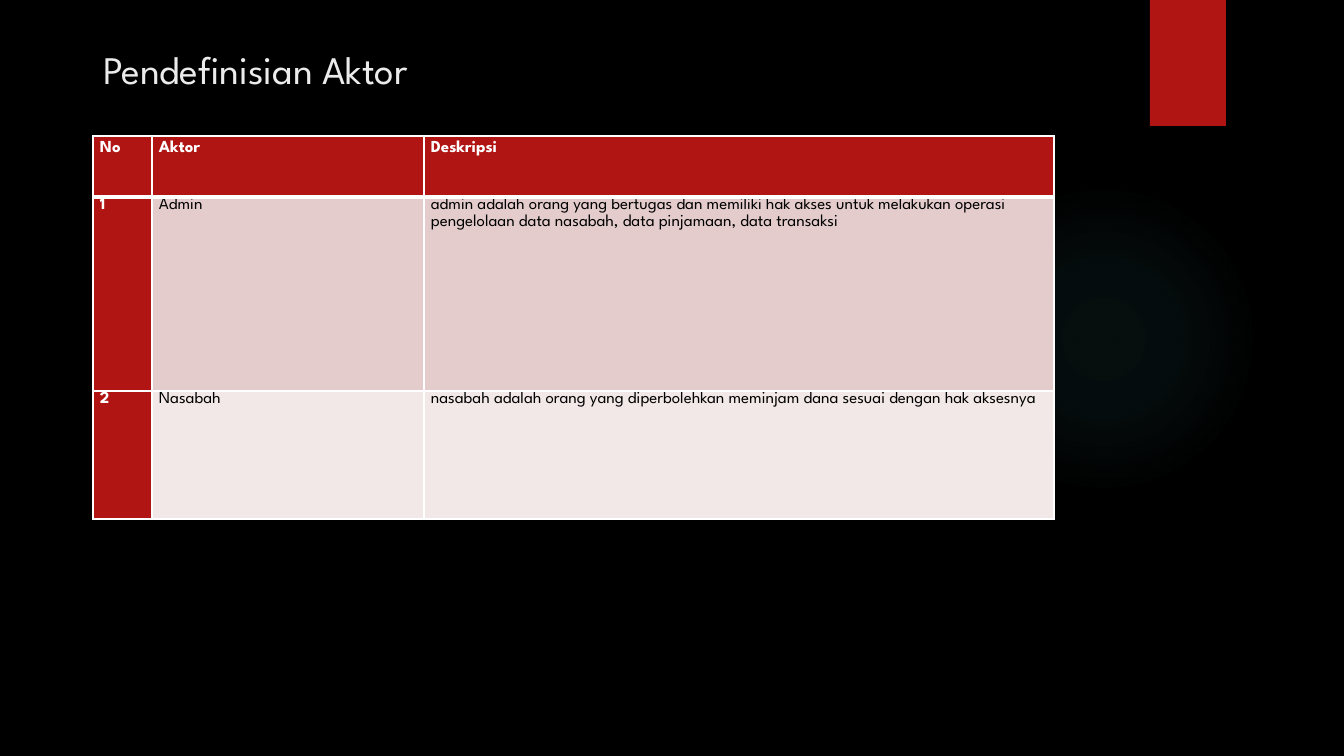
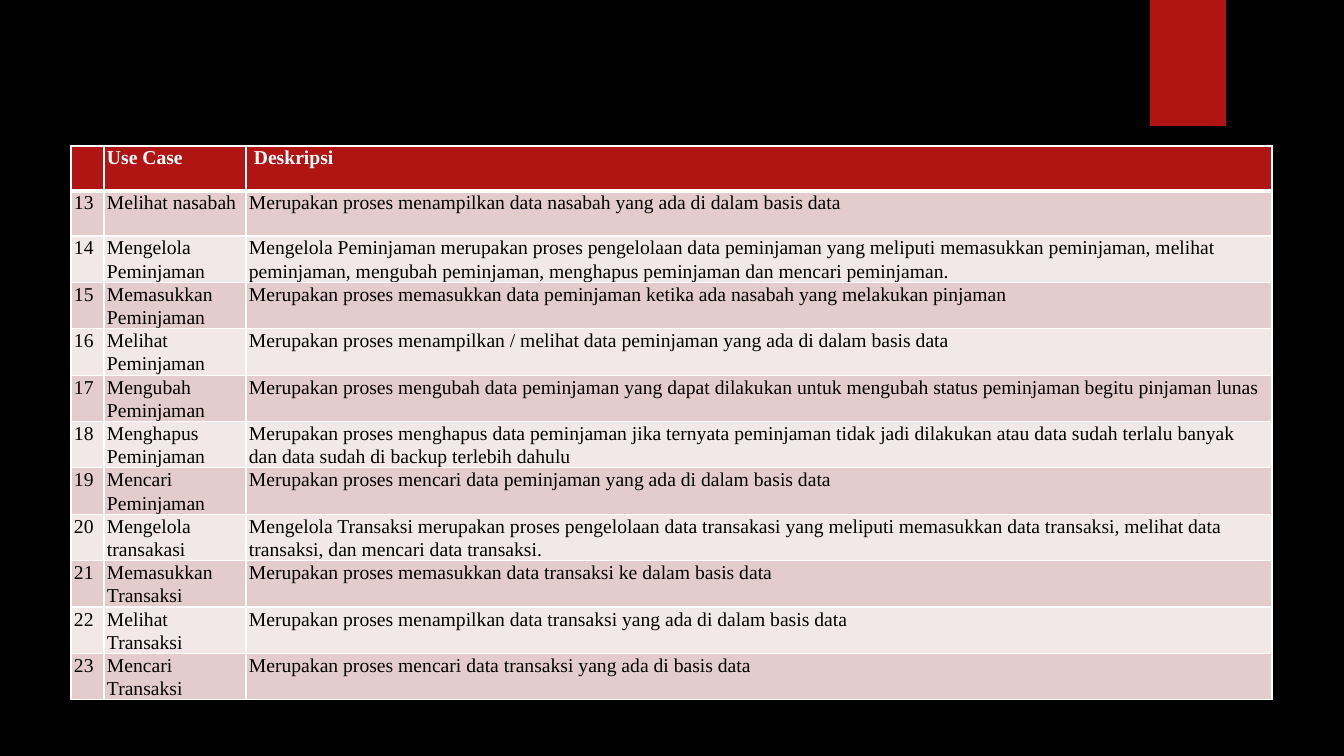
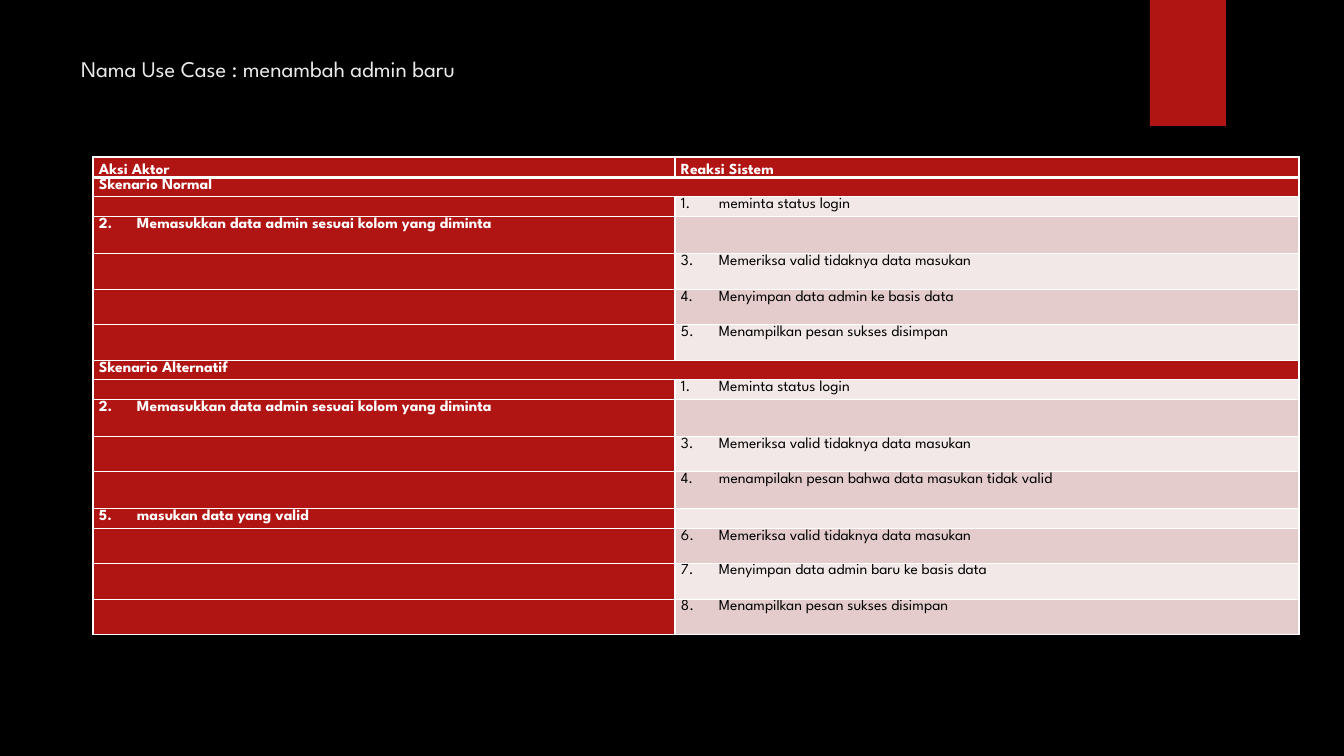
from dataclasses import dataclass
from itertools import zip_longest
from typing import NamedTuple

from lxml.etree import SubElement
from pptx import Presentation
from pptx.dml.color import RGBColor
from pptx.enum.shapes import MSO_SHAPE
from pptx.enum.text import MSO_ANCHOR, MSO_AUTO_SIZE, PP_ALIGN
from pptx.oxml import parse_xml
from pptx.oxml.ns import qn
from pptx.util import Emu, Pt

EMU_PER_PX = 914400 / 100.8
NAMESPACE = "http://schemas.openxmlformats.org/drawingml/2006/main"
TITLE_ONLY, BLANK = 5, 6


@dataclass(frozen=True)
class Theme:
    """Colours, fonts and type measures of the deck."""
    background: str = "000000"
    accent: str = "B01513"
    glow: str = "50B9C1"
    title: str = "EBEBEB"
    light_text: str = "FFFFFF"
    dark_text: str = "000000"
    border: str = "FFFFFF"
    band_dark: str = "E4CCCC"
    band_light: str = "F2E8E7"
    sans: str = "League Spartan"
    serif: str = "Times New Roman"
    title_size: float = 27.9
    subtitle_size: float = 16
    line_spacing: float = 1.07
    header_spacing: float = 14.7
    thin: float = 1
    thick: float = 3


class Box(NamedTuple):
    """A region in px."""
    left: int
    top: int
    width: int
    height: int


class Step(NamedTuple):
    """A numbered step of a scenario."""
    number: int
    text: str


@dataclass(frozen=True)
class TableStyle:
    """Type and layout choices that differ between tables."""
    font: str
    size: float
    margins: tuple
    header_spacing: object
    red_first_column: bool


THEME = Theme()
EXACT_HEADER = Pt(THEME.header_spacing)
ACTOR_STYLE = TableStyle(THEME.sans, 12, (7, 7), EXACT_HEADER, True)
USE_CASE_STYLE = TableStyle(THEME.serif, 14, (3, 3), THEME.line_spacing, False)
SCENARIO_STYLE = TableStyle(THEME.sans, 11, (6, 7), EXACT_HEADER, True)

ACTORS = [
    ("No", "Aktor", "Deskripsi"),
    ("1", "Admin", "admin adalah orang yang bertugas dan memiliki hak akses untuk melakukan "
     "operasi pengelolaan data nasabah, data pinjamaan, data transaksi"),
    ("2", "Nasabah", "nasabah adalah orang yang diperbolehkan meminjam dana sesuai dengan "
     "hak aksesnya"),
]
FIRST_USE_CASE = 13
USE_CASES = [
    ("Melihat nasabah", "Merupakan proses menampilkan data nasabah yang ada di dalam basis data"),
    ("Mengelola Peminjaman", "Mengelola Peminjaman merupakan proses pengelolaan data peminjaman "
     "yang meliputi memasukkan peminjaman, melihat peminjaman, mengubah peminjaman, menghapus "
     "peminjaman dan mencari peminjaman."),
    ("Memasukkan Peminjaman", "Merupakan proses memasukkan data peminjaman ketika ada nasabah "
     "yang melakukan pinjaman"),
    ("Melihat Peminjaman", "Merupakan proses menampilkan / melihat data peminjaman yang ada "
     "di dalam basis data"),
    ("Mengubah Peminjaman", "Merupakan proses mengubah data peminjaman yang dapat dilakukan "
     "untuk mengubah status peminjaman begitu pinjaman lunas"),
    ("Menghapus Peminjaman", "Merupakan proses menghapus data peminjaman jika ternyata "
     "peminjaman tidak jadi dilakukan atau data sudah terlalu banyak dan data sudah di backup "
     "terlebih dahulu"),
    ("Mencari Peminjaman", "Merupakan proses mencari data peminjaman yang ada di dalam basis data"),
    ("Mengelola transakasi", "Mengelola Transaksi merupakan proses pengelolaan data transakasi "
     "yang meliputi memasukkan data transaksi, melihat data transaksi, dan mencari data "
     "transaksi."),
    ("Memasukkan Transaksi", "Merupakan proses memasukkan data transaksi ke dalam basis data"),
    ("Melihat Transaksi", "Merupakan proses menampilkan data transaksi yang ada di dalam "
     "basis data"),
    ("Mencari Transaksi", "Merupakan proses mencari data transaksi yang ada di basis data"),
]
ACTOR, SYSTEM = 0, 1
SCENARIOS = {
    "Skenario Normal": [
        (SYSTEM, "meminta status login"),
        (ACTOR, "Memasukkan data admin sesuai kolom yang diminta"),
        (SYSTEM, "Memeriksa valid tidaknya data masukan"),
        (SYSTEM, "Menyimpan data admin ke basis data"),
        (SYSTEM, "Menampilkan pesan sukses disimpan"),
    ],
    "Skenario Alternatif": [
        (SYSTEM, "Meminta status login"),
        (ACTOR, "Memasukkan data admin sesuai kolom yang diminta"),
        (SYSTEM, "Memeriksa valid tidaknya data masukan"),
        (SYSTEM, "menampilakn pesan bahwa data masukan tidak valid"),
        (ACTOR, "masukan data yang valid"),
        (SYSTEM, "Memeriksa valid tidaknya data masukan"),
        (SYSTEM, "Menyimpan data admin baru ke basis data"),
        (SYSTEM, "Menampilkan pesan sukses disimpan"),
    ],
}
SCENARIO_ROWS = [20, 19, 20, 37, 36, 35, 36, 19, 20, 37, 35, 37, 20, 35, 36, 35]


def px(length):
    """Turn px into EMU."""
    return Emu(round(length * EMU_PER_PX))


def color(value):
    """Turn a hex string into a colour."""
    return RGBColor.from_string(value)


def add_run(paragraph, text, font, size, ink, bold=False):
    """Add one formatted run."""
    run = paragraph.add_run()
    run.text = text
    run.font.name = font
    run.font.size = Pt(size)
    run.font.bold = bold
    run.font.color.rgb = color(ink)


def add_plain_shape(slide, preset, box, fill):
    """Add a filled preset shape without line or shadow."""
    shape = slide.shapes.add_shape(preset, *map(px, box))
    shape.shadow.inherit = False
    shape.fill.solid()
    shape.fill.fore_color.rgb = color(fill)
    shape.line.fill.background()
    return shape


def apply_glow(shape):
    """Replace the fill by a radial gradient that fades out."""
    stops = "".join(
        f'<a:gs pos="{position * 1000}"><a:srgbClr val="{THEME.glow}">'
        f'<a:alpha val="{alpha * 1000}"/></a:srgbClr></a:gs>'
        for position, alpha in ((0, 7), (36, 6), (69, 0)))
    gradient = parse_xml(
        f'<a:gradFill xmlns:a="{NAMESPACE}"><a:gsLst>{stops}</a:gsLst><a:path path="circle">'
        '<a:fillToRect l="50000" t="50000" r="50000" b="50000"/></a:path></a:gradFill>')
    solid = shape.element.spPr.find(qn("a:solidFill"))
    shape.element.spPr.replace(solid, gradient)


def dress_master(presentation, slide):
    """Give the master its background, glow and red band, drawn first on a slide."""
    master = presentation.slide_master
    master.background.fill.solid()
    master.background.fill.fore_color.rgb = color(THEME.background)
    glow = add_plain_shape(slide, MSO_SHAPE.OVAL, Box(949, 184, 310, 310), THEME.glow)
    apply_glow(glow)
    band = add_plain_shape(slide, MSO_SHAPE.RECTANGLE, Box(1150, 0, 76, 126), THEME.accent)
    for identifier, shape in enumerate((glow, band), 20):
        shape.element.find(qn("p:nvSpPr")).find(qn("p:cNvPr")).set("id", str(identifier))
        master.shapes.element.append(shape.element)


def place_title(slide, box, text, size):
    """Move and fill the title placeholder."""
    title = slide.shapes.title
    title.left, title.top, title.width, title.height = map(px, box)
    frame = title.text_frame
    frame.auto_size = MSO_AUTO_SIZE.NONE
    frame.vertical_anchor = MSO_ANCHOR.TOP
    paragraph = frame.paragraphs[0]
    paragraph.alignment = PP_ALIGN.LEFT
    add_run(paragraph, text, THEME.sans, size, THEME.title)


def set_borders(cell, row_index):
    """Draw the cell borders, thicker between header and body."""
    properties = cell._tc.get_or_add_tcPr()
    thick_sides = {0: "lnB", 1: "lnT"}
    for position, side in enumerate(("lnL", "lnR", "lnT", "lnB")):
        width = THEME.thick if thick_sides.get(row_index) == side else THEME.thin
        properties.insert(position, parse_xml(
            f'<a:{side} xmlns:a="{NAMESPACE}" w="{Pt(width)}"><a:solidFill>'
            f'<a:srgbClr val="{THEME.border}"/></a:solidFill></a:{side}>'))


def number_paragraph(paragraph, number):
    """Make the paragraph an automatically numbered item."""
    properties = paragraph._p.get_or_add_pPr()
    properties.set("marL", str(px(38)))
    properties.set("indent", str(px(-38)))
    SubElement(properties, qn("a:buAutoNum"), type="arabicPeriod", startAt=str(number))


def fill_cell(cell, content, row_index, is_red, style):
    """Write and format one table cell."""
    band = THEME.band_dark if row_index % 2 else THEME.band_light
    cell.fill.solid()
    cell.fill.fore_color.rgb = color(THEME.accent if is_red else band)
    set_borders(cell, row_index)
    cell.margin_left, cell.margin_right = map(px, style.margins)
    cell.margin_top = cell.margin_bottom = 0
    paragraph = cell.text_frame.paragraphs[0]
    paragraph.line_spacing = THEME.line_spacing if row_index else style.header_spacing
    if not content:
        SubElement(paragraph._p, qn("a:endParaRPr"), sz=str(style.size * 100))
        return
    if isinstance(content, Step):
        number_paragraph(paragraph, content.number)
        content = content.text
    ink = THEME.light_text if is_red else THEME.dark_text
    add_run(paragraph, content, style.font, style.size, ink, is_red)


def place_table(slide, origin, widths, heights, rows, style):
    """Add a table at the origin; a row of one item spans all columns."""
    box = Box(*origin, sum(widths), sum(heights))
    table = slide.shapes.add_table(len(rows), len(widths), *map(px, box)).table
    for column, width in zip(table.columns, widths):
        column.width = px(width)
    for row_index, (row, height, contents) in enumerate(zip(table.rows, heights, rows)):
        row.height = px(height)
        is_section = len(contents) == 1
        for column_index, (cell, content) in enumerate(
                zip_longest(row.cells, contents, fillvalue="")):
            is_red = (row_index == 0 or is_section
                      or (style.red_first_column and column_index == 0))
            fill_cell(cell, content, row_index, is_red, style)
        if is_section:
            table.cell(row_index, 0).merge(table.cell(row_index, len(widths) - 1))


def build_actor_slide(slide):
    """Build the slide that defines the actors."""
    place_title(slide, Box(93, 40, 1159, 131), "Pendefinisian Aktor", THEME.title_size)
    place_table(slide, (93, 136), [59, 272, 630], [61, 194, 128], ACTORS, ACTOR_STYLE)


def build_use_case_slide(slide):
    """Build the slide that lists the use cases."""
    rows = [("", "Use Case", " Deskripsi")]
    rows += [(str(number), *texts) for number, texts in enumerate(USE_CASES, FIRST_USE_CASE)]
    place_table(slide, (71, 146), [33, 142, 1026], [45] * len(rows), rows, USE_CASE_STYLE)


def build_scenario_slide(slide):
    """Build the slide that sets actor steps against system steps."""
    place_title(slide, Box(71, 50, 1037, 154), "Nama Use Case : menambah admin baru",
                THEME.subtitle_size)
    rows = [("Aksi Aktor", "Reaksi Sistem")]
    for name, steps in SCENARIOS.items():
        rows.append((name,))
        for number, (side, text) in enumerate(steps, 1):
            step = Step(number, text)
            rows.append((step, "") if side == ACTOR else ("", step))
    place_table(slide, (93, 157), [582, 624], SCENARIO_ROWS, rows, SCENARIO_STYLE)


def main():
    """Build and save the presentation."""
    presentation = Presentation()
    presentation.slide_width, presentation.slide_height = px(1344), px(756)
    layouts = presentation.slide_layouts
    plan = ((TITLE_ONLY, build_actor_slide), (BLANK, build_use_case_slide),
            (TITLE_ONLY, build_scenario_slide))
    for index, (layout, build) in enumerate(plan):
        slide = presentation.slides.add_slide(layouts[layout])
        if index == 0:
            dress_master(presentation, slide)
        build(slide)
    presentation.save("out.pptx")


if __name__ == "__main__":
    main()
